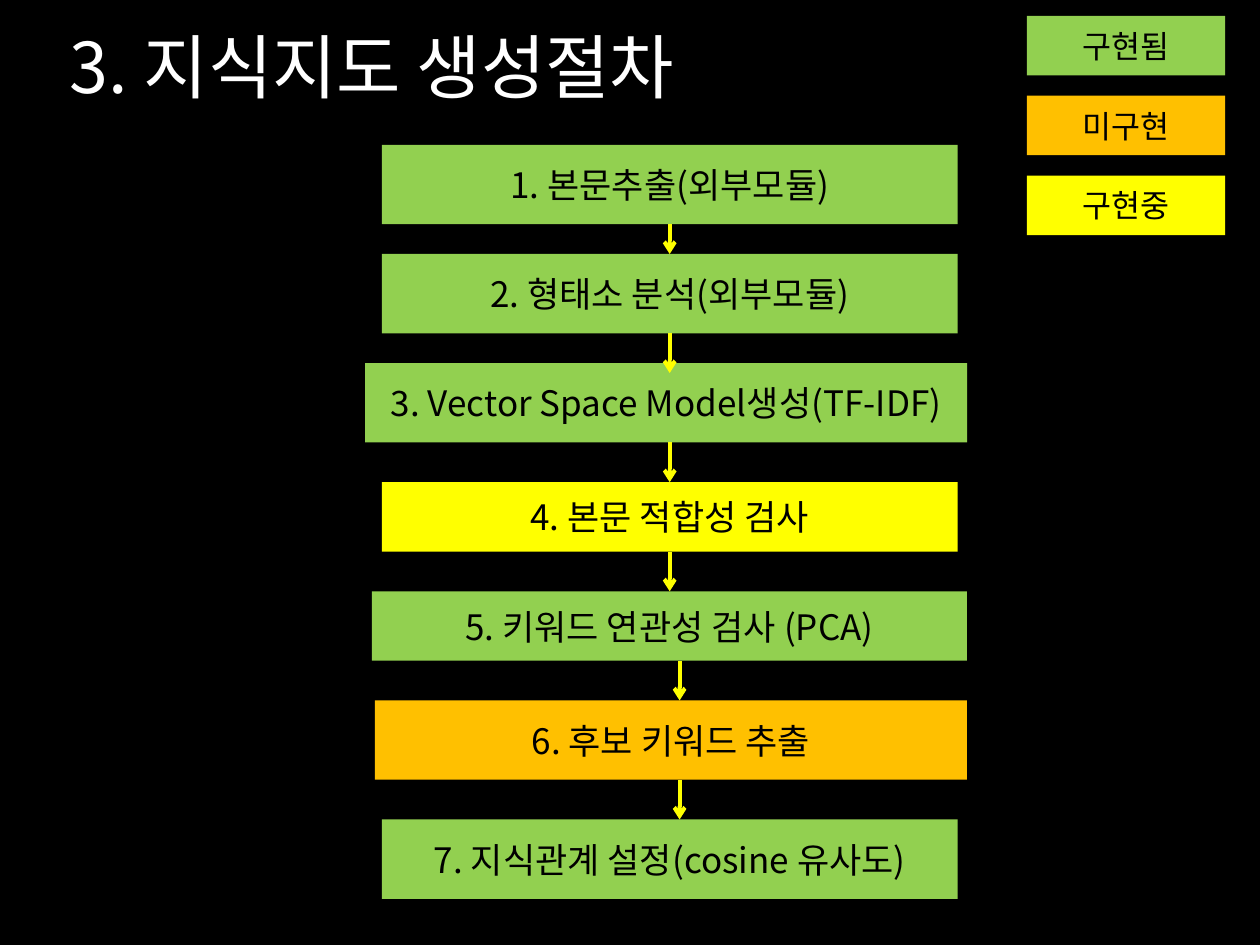
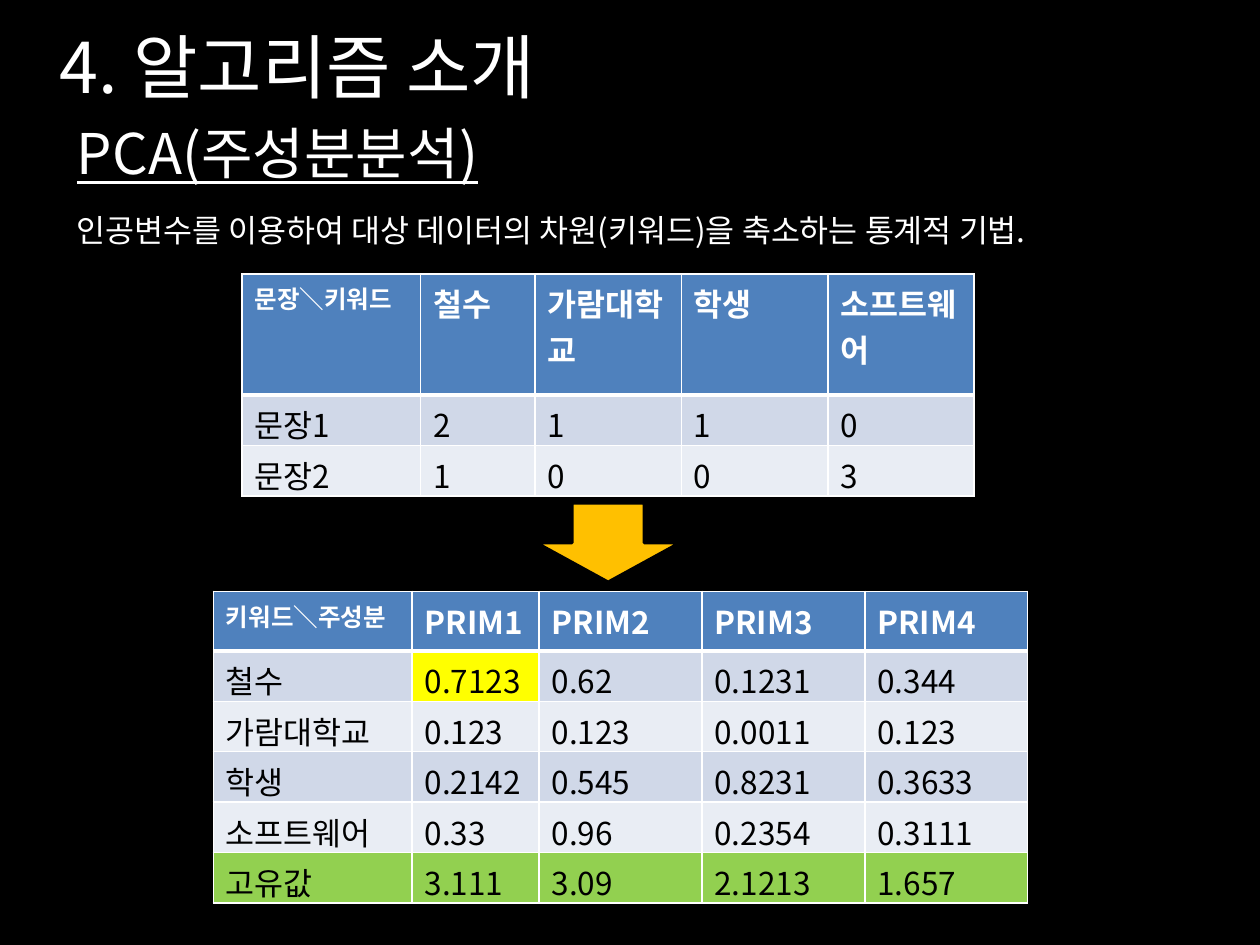
import lxml.etree
import pptx
import pptx.dml.color
import pptx.enum.shapes
import pptx.enum.text
import pptx.oxml.ns
import pptx.util

FONT = "Noto Sans CJK KR"
BLACK, WHITE = "000000", "FFFFFF"
DONE, TODO, DOING = "92D050", "FFC000", "FFFF00"
HEADER, BANDS = "4F81BD", ("D0D8E8", "E9EDF4")
SHARES = (0.244, 0.156, 0.2, 0.2, 0.2)
BODY_ROW = 4.8
LEFT = pptx.enum.text.PP_ALIGN.LEFT
CENTER = pptx.enum.text.PP_ALIGN.CENTER
TOP = pptx.enum.text.MSO_ANCHOR.TOP
MIDDLE = pptx.enum.text.MSO_ANCHOR.MIDDLE
SHAPES = pptx.enum.shapes.MSO_SHAPE


def cells(*counts):
    return [pptx.util.Mm(2 * n) for n in counts]


def rgb(value):
    return pptx.dml.color.RGBColor.from_string(value)


def child(parent, tag, **attributes):
    return lxml.etree.SubElement(parent, pptx.oxml.ns.qn(tag), **attributes)


def write(tf, text, size=18, color=BLACK, bold=False, underline=False, align=LEFT, anchor=TOP):
    tf.word_wrap = True
    tf.vertical_anchor = anchor
    p = tf.paragraphs[0]
    p.alignment = align
    r = p.add_run()
    r.text = text
    r.font.name = FONT
    r.font.size = pptx.util.Pt(size)
    r.font.bold = bold
    r.font.underline = underline
    r.font.color.rgb = rgb(color)
    child(r.font._element, "a:ea", typeface=FONT)


def add_text(s, box, text, **look):
    write(s.shapes.add_textbox(*cells(*box)).text_frame, text, **look)


def add_block(s, box, fill, kind=SHAPES.RECTANGLE):
    sp = s.shapes.add_shape(kind, *cells(*box))
    sp.shadow.inherit = False
    sp.fill.solid()
    sp.fill.fore_color.rgb = rgb(fill)
    sp.line.fill.background()
    return sp


def add_label(s, box, text, fill, size):
    sp = add_block(s, box, fill)
    write(sp.text_frame, text, size=size, align=CENTER, anchor=MIDDLE)


def add_arrow(s, x, top, bottom):
    line = s.shapes.add_connector(pptx.enum.shapes.MSO_CONNECTOR.STRAIGHT, *cells(x, top, x, bottom))
    line.line.color.rgb = rgb(DOING)
    line.line.width = pptx.util.Pt(2.25)
    child(line.line._get_or_add_ln(), "a:tailEnd", type="arrow")
    child(line._element.spPr, "a:effectLst")


def add_slide(prs, title, box):
    s = prs.slides.add_slide(prs.slide_layouts[6])
    s.background.fill.solid()
    s.background.fill.fore_color.rgb = rgb(BLACK)
    add_text(s, box, title, size=40, color=WHITE, align=CENTER, anchor=MIDDLE)
    return s


def add_flow(s, box, steps):
    left, y, width, _ = box
    arrows = []
    for text, fill, inset, share, height, gap, arrow_x, arrow in steps:
        add_label(s, (left + inset, y, width * share, height), text, fill, 20)
        y += height
        if arrow:
            arrows.append((left + arrow_x, y, y + arrow))
        y += gap
    for arrow in arrows:
        add_arrow(s, *arrow)


def add_legend(s, box, entries):
    x, y, w, h = box
    height = 6
    step = (h - height) / (len(entries) - 1)
    for i, (text, fill) in enumerate(entries):
        add_label(s, (x, y + i * step, w, height), text, fill, 18)


def set_borders(cell, **widths):
    tcPr = cell._tc.get_or_add_tcPr()
    for side in "LRTB":
        ln = child(tcPr, "a:ln" + side, w=str(pptx.util.Pt(widths.get(side, 1))))
        child(child(ln, "a:solidFill"), "a:srgbClr", val=WHITE)


def add_grid(s, box, rows, fills):
    x, y, w, h = box
    table = s.shapes.add_table(len(rows), len(SHARES), *cells(*box)).table
    for column, share in zip(table.columns, SHARES):
        column.width = cells(w * share)[0]
    for i, row in enumerate(rows):
        head = i == 0
        height = h - BODY_ROW * (len(rows) - 1) if head else BODY_ROW
        table.rows[i].height = cells(height)[0]
        for j, text in enumerate(row):
            cell = table.cell(i, j)
            set_borders(cell, **({"B": 3} if head else {"T": 3} if i == 1 else {}))
            cell.fill.solid()
            band = HEADER if head else BANDS[(i - 1) % 2]
            cell.fill.fore_color.rgb = rgb(fills.get((i, j), band))
            write(cell.text_frame, text, size=14 if head and j == 0 else 18,
                  color=WHITE if head else BLACK, bold=head)


def build_procedure(prs):
    s = add_slide(prs, "3. 지식지도 생성절차", (-0.5, 2.6, 76, 8))
    add_flow(s, (36.8, 14.6, 60.7, 76), [
        ("1. 본문추출(외부모듈)", DONE, 1.7, 0.956, 8, 3, 30.7, 3),
        ("2. 형태소 분석(외부모듈)", DONE, 1.7, 0.956, 8, 3, 30.7, 4),
        ("3. Vector Space Model생성(TF-IDF)", DONE, 0, 1, 8, 4, 30.7, 4),
        ("4. 본문 적합성 검사", DOING, 1.7, 0.956, 7, 4, 30.7, 4),
        ("5. 키워드 연관성 검사 (PCA)", DONE, 0.7, 0.988, 7, 4, 31.7, 4),
        ("6. 후보 키워드 추출", TODO, 1, 0.983, 8, 4, 31.7, 4),
        ("7. 지식관계 설정(cosine 유사도)", DONE, 1.7, 0.956, 8, 0, 0, 0),
    ])
    add_legend(s, (103.5, 1.6, 20, 22.1), [("구현됨", DONE), ("미구현", TODO), ("구현중", DOING)])


def build_algorithm(prs):
    s = add_slide(prs, "4. 알고리즘 소개", (-3.5, 2.6, 67, 8))
    add_text(s, (6.5, 11.3, 107, 36.3), "PCA(주성분분석)", size=32, color=WHITE, underline=True)
    add_grid(s, (24.4, 27.6, 73.8, 21.8), [
        ("문장＼키워드", "철수", "가람대학교", "학생", "소프트웨어"),
        ("문장1", "2", "1", "1", "0"),
        ("문장2", "1", "0", "0", "3"),
    ], {})
    totals = {(5, j): DONE for j in range(len(SHARES))}
    add_grid(s, (21.5, 59.6, 82.1, 30), [
        ("키워드＼주성분", "PRIM1", "PRIM2", "PRIM3", "PRIM4"),
        ("철수", "0.7123", "0.62", "0.1231", "0.344"),
        ("가람대학교", "0.123", "0.123", "0.0011", "0.123"),
        ("학생", "0.2142", "0.545", "0.8231", "0.3633"),
        ("소프트웨어", "0.33", "0.96", "0.2354", "0.3111"),
        ("고유값", "3.111", "3.09", "2.1213", "1.657"),
    ], {(1, 1): DOING, **totals})
    add_text(s, (6.5, 20.6, 117, 5.1),
             "인공변수를 이용하여 대상 데이터의 차원(키워드)을 축소하는 통계적 기법.", color=WHITE)
    arrow = add_block(s, (54, 50.7, 14.6, 8), TODO, SHAPES.DOWN_ARROW)
    arrow.line.color.rgb = rgb(BLACK)
    arrow.line.width = pptx.util.Pt(2)


prs = pptx.Presentation()
prs.slide_width = pptx.util.Inches(10)
prs.slide_height = pptx.util.Inches(7.5)
build_procedure(prs)
build_algorithm(prs)
prs.save("out.pptx")
